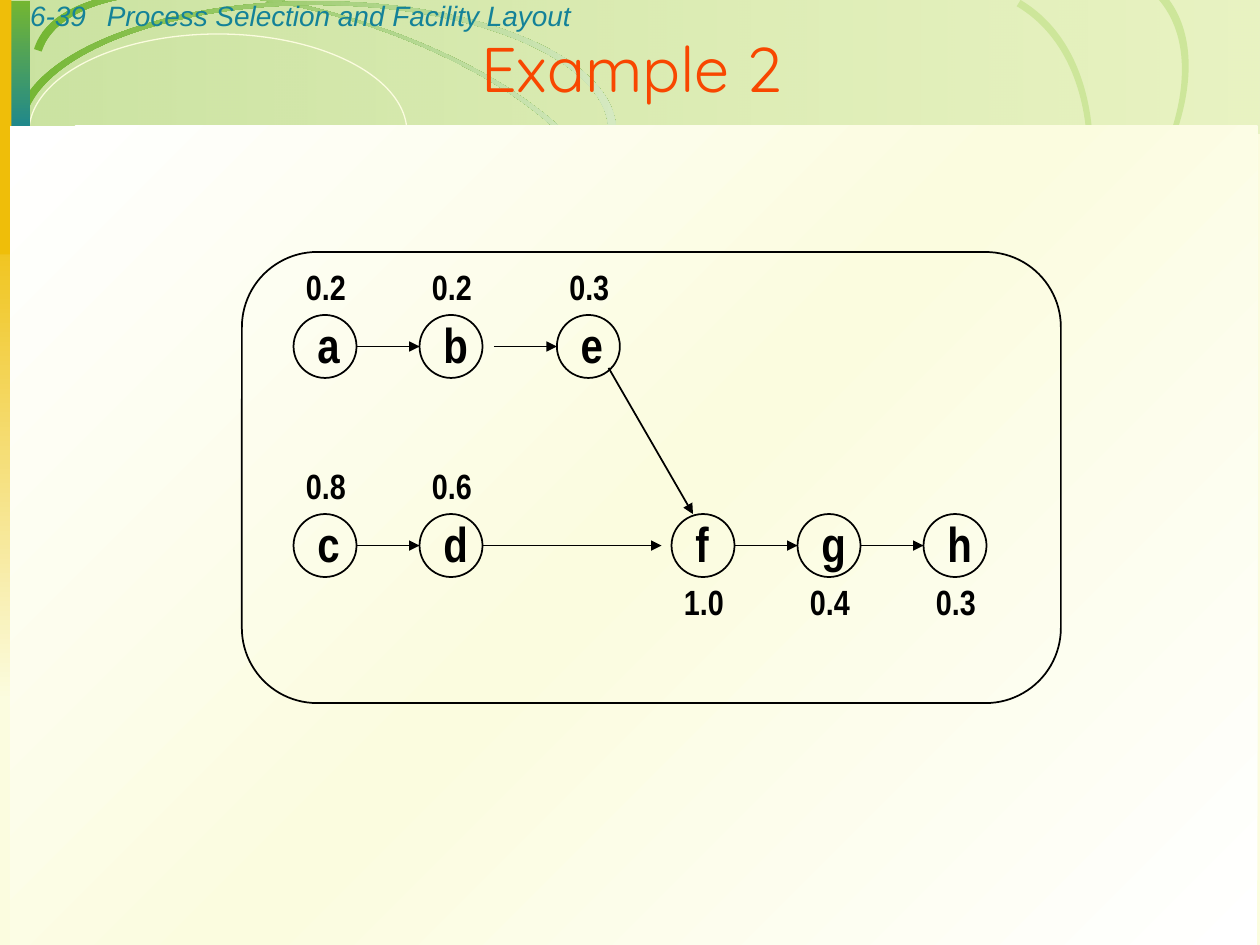
from lxml import etree
from pptx import Presentation
from pptx.dml.color import RGBColor
from pptx.enum import shapes, text
from pptx.oxml.ns import qn
from pptx.util import Inches, Pt

BLACK, CREAM, GREEN, TEAL = "000000", "FBFCDF", "74B632", "148298"
GOLD, LIME, OLIVE, ORANGE = "EFBE09", "CDE69A", "CEDE73", "F84700"
SIZE = 0.5
TOP_ROW, LOW_ROW = 2.5, 4.08
ABOVE, BELOW = -0.44, 0.48
KIND = shapes.MSO_SHAPE

SWOOSHES = [
    ((0.33, 0.41),
     [(0.49, -0.1, 1.61, -0.2, 2.84, 0.18), (4.06, 0.57, 4.92, 1.29, 4.76, 1.8), (4.82, 1.82),
      (4.99, 1.3, 4.1, 0.55, 2.84, 0.16), (1.59, -0.24, 0.43, -0.14, 0.27, 0.39)],
     [(0, GREEN), (100, "D5E9C1")]),
    ((5.73, 3.08),
     [(6.19, 3.6, 7.34, 3.33, 8.3, 2.48), (9.25, 1.62, 9.65, 0.51, 9.19, -0.01), (9.24, -0.05),
      (9.71, 0.48, 9.3, 1.62, 8.32, 2.5), (7.34, 3.38, 6.16, 3.66, 5.68, 3.13)],
     LIME),
    ((5.7, 4.04),
     [(6.41, 4.46, 7.51, 3.91, 8.17, 2.81), (8.82, 1.71, 8.78, 0.47, 8.07, 0.05), (8.1, 0),
      (8.83, 0.43, 8.87, 1.7, 8.2, 2.83), (7.53, 3.96, 6.39, 4.53, 5.67, 4.1)],
     LIME),
    ((0.19, 1.04),
     [(0.19, 0.49, 1.23, 0.04, 2.51, 0.04), (3.79, 0.04, 4.83, 0.49, 4.83, 1.04), (4.89, 1.04),
      (4.89, 0.47, 3.83, 0.01, 2.51, 0.01), (1.19, 0.01, 0.12, 0.47, 0.12, 1.04)],
     [(0, GREEN), (100, "D5E9C1")]),
]

STRIPES = [
    (0.08, 1.84, TEAL, OLIVE),
    (1.9, 1.84, OLIVE, GOLD),
    (3.73, 1.84, GOLD, ORANGE),
    (5.55, 3.65, ORANGE, CREAM),
]

NODES = [
    ("a", "0.2", 2.33, TOP_ROW, 0.37, ABOVE),
    ("b", "0.2", 3.33, TOP_ROW, 0.39, ABOVE),
    ("e", "0.3", 4.42, TOP_ROW, 0.37, ABOVE),
    ("c", "0.8", 2.33, LOW_ROW, 0.37, ABOVE),
    ("d", "0.6", 3.33, LOW_ROW, 0.39, ABOVE),
    ("f", "1.0", 5.33, LOW_ROW, 0.30, BELOW),
    ("g", "0.4", 6.33, LOW_ROW, 0.39, BELOW),
    ("h", "0.3", 7.33, LOW_ROW, 0.39, BELOW),
]

ARROWS = [
    (2.83, 2.75, 3.33, 2.75),
    (3.92, 2.75, 4.42, 2.75),
    (4.83, 2.92, 5.5, 4.08),
    (2.83, 4.33, 3.33, 4.33),
    (3.83, 4.33, 5.25, 4.33),
    (5.83, 4.33, 6.33, 4.33),
    (6.83, 4.33, 7.33, 4.33),
]


def rgb(value):
    """Return the colour for a hex string."""
    return RGBColor.from_string(value)


def paint(sp, fill=None, angle=0, line=None, width=1):
    """Fill a shape with a colour or (position, colour, alpha) stops, and outline it."""
    sp.shadow.inherit = False
    if fill is None:
        sp.fill.background()
    elif isinstance(fill, str):
        sp.fill.solid()
        sp.fill.fore_color.rgb = rgb(fill)
    else:
        sp.fill.gradient()
        sp.fill.gradient_angle = -angle % 360
        stops = sp._element.spPr.find(".//" + qn("a:gsLst"))
        stops.clear()
        for position, color, *alpha in fill:
            gs = etree.SubElement(stops, qn("a:gs"), pos=str(position * 1000))
            clr = etree.SubElement(gs, qn("a:srgbClr"), val=color)
            for value in alpha:
                etree.SubElement(clr, qn("a:alpha"), val=str(value * 1000))
    if line:
        sp.line.color.rgb = rgb(line)
        sp.line.width = Pt(width)
    else:
        sp.line.fill.background()


def add_preset(s, kind, x, y, w, h, **style):
    """Add a painted preset shape."""
    sp = s.shapes.add_shape(kind, Inches(x), Inches(y), Inches(w), Inches(h))
    paint(sp, **style)
    return sp


def add_swoosh(s, start, segments, fill):
    """Add a closed band, bending the sides that have control points."""
    builder = s.shapes.build_freeform(*(Inches(v) for v in start), scale=1.0)
    builder.add_line_segments([(Inches(seg[-2]), Inches(seg[-1])) for seg in segments], close=True)
    sp = builder.convert_to_shape()
    sides = sp._element.spPr.findall(".//" + qn("a:lnTo"))
    for side, seg in zip(sides, segments):
        if len(seg) == 6:
            bend = etree.Element(qn("a:cubicBezTo"))
            for x, y in zip(seg[::2], seg[1::2]):
                etree.SubElement(bend, qn("a:pt"), x=str(Inches(x) - sp.left), y=str(Inches(y) - sp.top))
            side.getparent().replace(side, bend)
    paint(sp, fill)


def add_label(s, words, x, y, w, h, size, font="Arial Narrow", color=BLACK, bold=True, italic=False):
    """Add a one-line text box."""
    tf = s.shapes.add_textbox(Inches(x), Inches(y), Inches(w), Inches(h)).text_frame
    tf.word_wrap = False
    tf.auto_size = text.MSO_AUTO_SIZE.SHAPE_TO_FIT_TEXT
    p = tf.paragraphs[0]
    p.text = words
    style_font(p, size, font, color, bold, italic)


def style_font(p, size, font, color, bold=False, italic=False):
    """Set the font of a paragraph."""
    p.font.size, p.font.name = Pt(size), font
    p.font.bold, p.font.italic = bold, italic
    p.font.color.rgb = rgb(color)


def add_arrow(s, x1, y1, x2, y2):
    """Add a straight arrow."""
    cx = s.shapes.add_connector(shapes.MSO_CONNECTOR.STRAIGHT, Inches(x1), Inches(y1), Inches(x2), Inches(y2))
    cx.line.color.rgb = rgb(BLACK)
    cx.line.width = Pt(1)
    etree.SubElement(cx.line._get_or_add_ln(), qn("a:tailEnd"), type="triangle")
    etree.SubElement(cx._element.spPr, qn("a:effectLst"))


def add_node(s, name, time, x, y, w, offset):
    """Add a task circle with its name and time."""
    add_preset(s, KIND.OVAL, x, y, SIZE, SIZE, line=BLACK)
    add_label(s, name, x + 0.09, y - 0.05, w, 0.57, 28)
    add_label(s, time, x, y + offset, 0.53, 0.44, 20)


def add_backdrop(s):
    """Add the header band, swooshes, side bars and page panel."""
    s.background.fill.solid()
    s.background.fill.fore_color.rgb = rgb(CREAM)
    add_preset(s, KIND.RECTANGLE, 0.01, 0, 10, 1.06, fill=[(0, GREEN, 36), (100, "BCDD7B", 29)])
    add_swoosh(s, *SWOOSHES[0])
    add_preset(s, KIND.OVAL, 0.23, 0.27, 3, 1.56, line=CREAM, width=0.75)
    add_preset(s, KIND.RECTANGLE, 0, 1.55, 0.22, 4.01, fill=[(0, GOLD), (100, CREAM)], angle=90)
    for swoosh in SWOOSHES[1:]:
        add_swoosh(s, *swoosh)
    add_preset(s, KIND.RECTANGLE, 0.01, 0.01, 0.23, 1.14, fill=[(0, GREEN), (100, TEAL)], angle=90)
    for x, w, first, last in STRIPES:
        add_preset(s, KIND.RECTANGLE, x, 1.06, w, 0.08, fill=[(0, first), (100, last)])
    add_preset(s, KIND.RECTANGLE, 0, 0, 0.09, 2.02, fill=GOLD)
    add_preset(s, KIND.RECTANGLE, 0.08, 1, 9.9, 6.5,
               fill=[(0, "FFFFFF"), (50, CREAM), (100, "FFFFFF")], angle=45)


def set_title(s, words):
    """Place the title in front of the header band."""
    sp = s.shapes.title
    sp.left, sp.top, sp.width, sp.height = Inches(0.03), Inches(0.34), Inches(9.97), Inches(0.39)
    tf = sp.text_frame
    tf.text = words
    tf.vertical_anchor = text.MSO_ANCHOR.MIDDLE
    tf.auto_size = text.MSO_AUTO_SIZE.NONE
    p = tf.paragraphs[0]
    p.alignment = text.PP_ALIGN.CENTER
    style_font(p, 36, "Quicksand", ORANGE)
    s.shapes._spTree.append(sp._element)


def main():
    """Build the slide and save it."""
    prs = Presentation()
    prs.slide_width, prs.slide_height = Inches(10), Inches(7.5)
    s = prs.slides.add_slide(prs.slide_layouts[5])
    add_backdrop(s)
    for words, x, w in (("6-39", 0.14, 0.65), ("Process Selection and Facility Layout", 0.75, 3.89)):
        add_label(s, words, x, -0.06, w, 0.37, 16, "Arial", TEAL, bold=False, italic=True)
    add_preset(s, KIND.ROUNDED_RECTANGLE, 1.92, 2, 6.5, 3.58, line=BLACK)
    for node in NODES:
        add_node(s, *node)
    for arrow in ARROWS:
        add_arrow(s, *arrow)
    set_title(s, "Example 2")
    prs.save("out.pptx")


if __name__ == "__main__":
    main()
